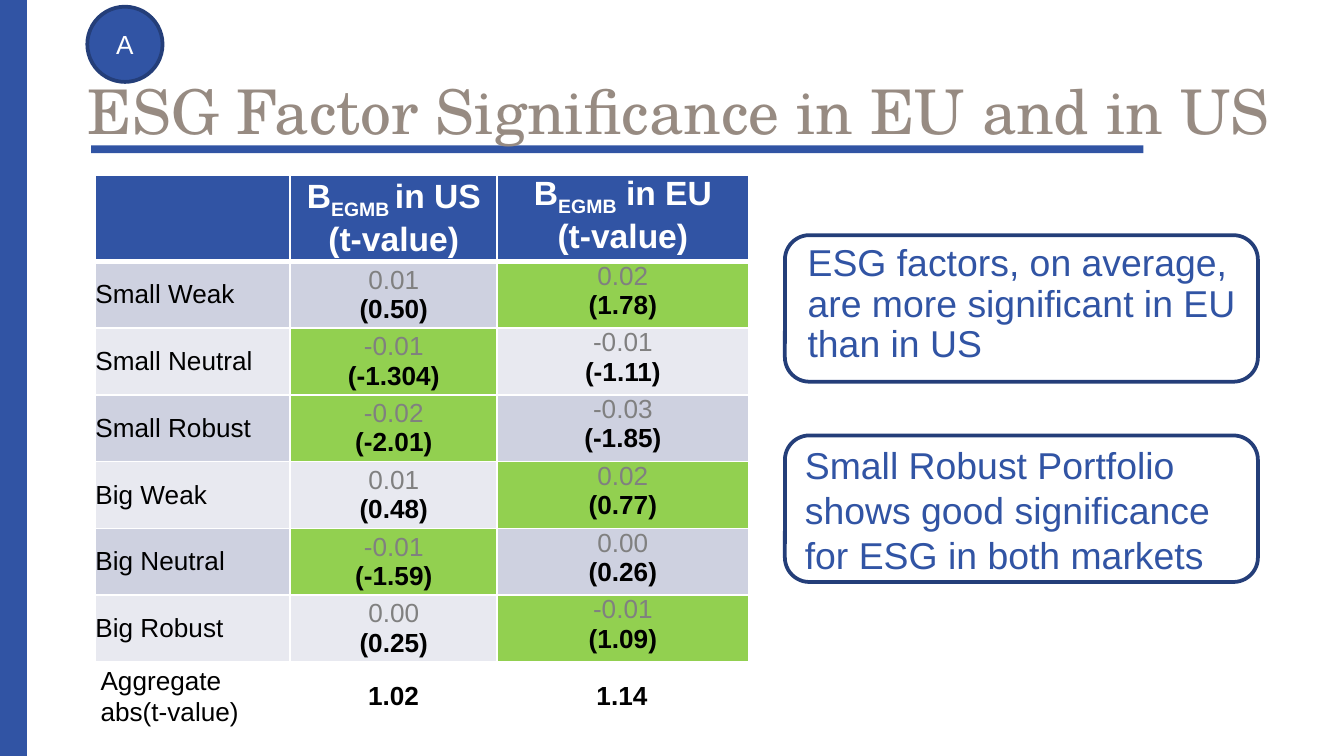
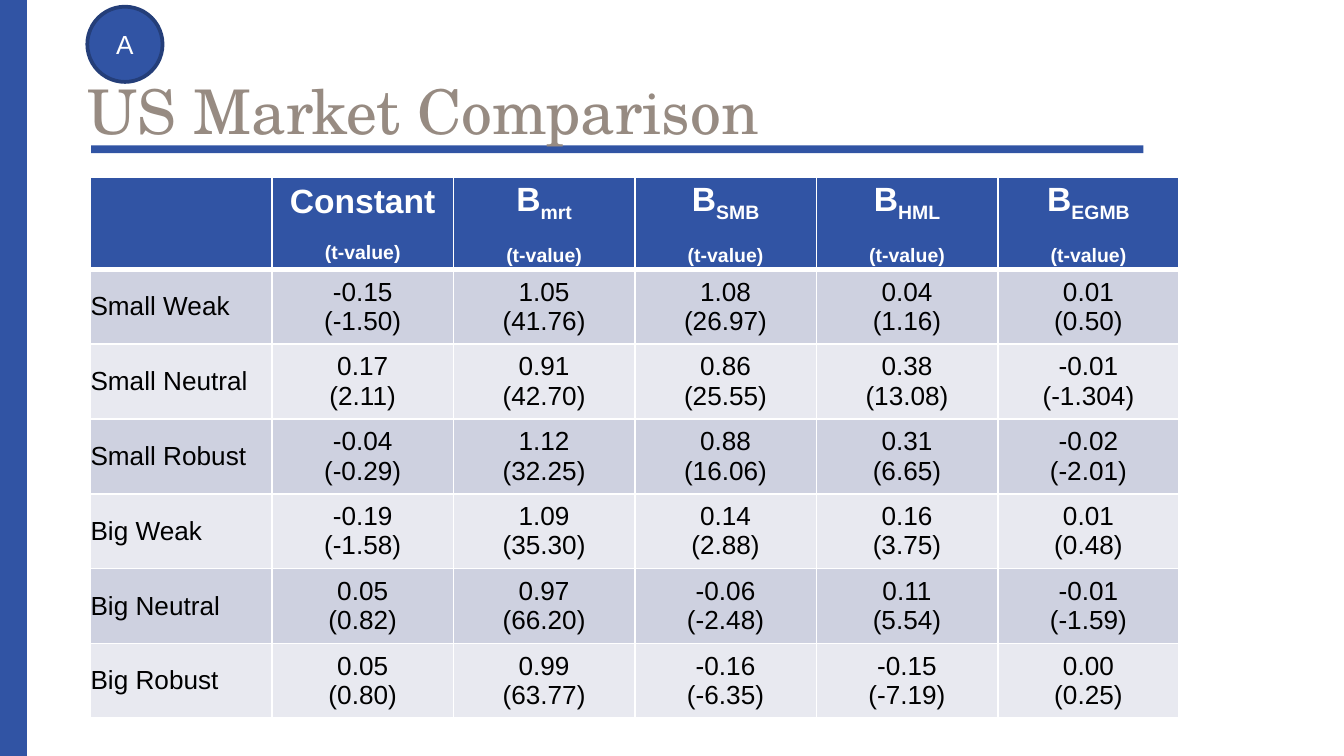
from lxml.etree import SubElement
from pptx import Presentation
from pptx.dml.color import RGBColor
from pptx.enum.shapes import MSO_SHAPE as SHAPE
from pptx.enum.text import MSO_ANCHOR as ANCHOR, PP_ALIGN as ALIGN
from pptx.oxml.ns import qn
from pptx.util import Pt

rgb = RGBColor.from_string
BLUE, NAVY, TAUPE = "3154A4", "243E79", "978B82"
WHITE, BLACK, GRAY, GREEN = "FFFFFF", "000000", "808080", "92D050"
BANDS = ["E8E9F0", "CED1E0"]
SUB = {"baseline": "-25000"}


def write(frame, lines, size, color, font="Arial", bold=False, align=ALIGN.LEFT,
          anchor=ANCHOR.TOP, spacing=None):
    """Each line is a list of (text, changes) runs."""
    frame.word_wrap = True
    frame.vertical_anchor = anchor
    for number, runs in enumerate(lines):
        paragraph = frame.add_paragraph() if number else frame.paragraphs[0]
        paragraph.alignment = align
        paragraph.line_spacing = spacing
        for text, changes in runs:
            run = paragraph.add_run()
            run.text = text
            look = {"name": font, "size": Pt(size), "bold": changes.get("bold", bold)}
            for attribute, value in look.items():
                setattr(run.font, attribute, value)
            run.font.color.rgb = rgb(changes.get("color", color))
            if "baseline" in changes:
                run._r.get_or_add_rPr().set("baseline", changes["baseline"])


def draw(slide, kind, box, fill, line=None):
    shape = slide.shapes.add_shape(kind, *map(Pt, box))
    shape.shadow.inherit = False
    shape.fill.solid()
    shape.fill.fore_color.rgb = rgb(fill)
    if line:
        shape.line.color.rgb = rgb(line)
        shape.line.width = Pt(2)
    else:
        shape.line.fill.background()
    return shape


deck = Presentation()
deck.slide_width, deck.slide_height = Pt(720), Pt(405)

# Content: each entry is "coefficient (t-value)"
portfolios = ["Small\u00a0Weak".replace("\u00a0", " "), "Small Neutral", "Small Robust",
              "Big Weak", "Big Neutral", "Big Robust"]
significance = {
    "title": "ESG Factor Significance in EU and in US", "title_width": 672,
    "at": (51.1, 93.8), "columns": [104.4, 110.9, 134.6], "rows": [43.9, 35.8],
    "heads": [[[("Β", {}), ("EGMB ", SUB), ("in US", {})], [("(t-value)", {})]],
              [[("Β", {}), ("EGMB", SUB), (" in EU", {})], [("(t-value)", {})]]],
    "entries": ["0.01 (0.50), 0.02 (1.78)", "-0.01 (-1.304), -0.01 (-1.11)",
                "-0.02 (-2.01), -0.03 (-1.85)", "0.01 (0.48), 0.02 (0.77)",
                "-0.01 (-1.59), 0.00 (0.26)", "0.00 (0.25), -0.01 (1.09)"],
    "value_look": {"color": GRAY}, "t_look": {"bold": True},
    "top_column": 2,
    "green": {(1, 2), (2, 1), (3, 1), (4, 2), (5, 1), (6, 2)},
}
us_market = {
    "title": "US Market Comparison", "title_width": 620,
    "at": (48.5, 95.2), "columns": [97.2] * 6, "rows": [48.6, 40.1],
    "heads": [[[("Constant", {})], [("(t-value)", SUB)]]]
    + [[[("Β", {}), (factor, SUB)], [("(t-value)", SUB)]]
       for factor in ("mrt", "SMB", "HML", "EGMB")],
    "entries": [
        "-0.15 (-1.50), 1.05 (41.76), 1.08 (26.97), 0.04 (1.16), 0.01 (0.50)",
        "0.17 (2.11), 0.91 (42.70), 0.86 (25.55), 0.38 (13.08), -0.01 (-1.304)",
        "-0.04 (-0.29), 1.12 (32.25), 0.88 (16.06), 0.31 (6.65), -0.02 (-2.01)",
        "-0.19 (-1.58), 1.09 (35.30), 0.14 (2.88), 0.16 (3.75), 0.01 (0.48)",
        "0.05 (0.82), 0.97 (66.20), -0.06 (-2.48), 0.11 (5.54), -0.01 (-1.59)",
        "0.05 (0.80), 0.99 (63.77), -0.16 (-6.35), -0.15 (-7.19), 0.00 (0.25)"],
    "value_look": {}, "t_look": {}, "top_column": None, "green": set(),
}

for topic in (significance, us_market):
    slide = deck.slides.add_slide(deck.slide_layouts[6])

    # Side band, title with rule, section badge
    draw(slide, SHAPE.RECTANGLE, (0, 0, 14.4, 405), BLUE)
    draw(slide, SHAPE.RECTANGLE, (48.8, 77.9, 563.8, 4.1), BLUE)
    title = slide.shapes.add_textbox(Pt(42), Pt(21.6), Pt(topic["title_width"]), Pt(79))
    title.text_frame.margin_left = title.text_frame.margin_right = Pt(5)
    write(title.text_frame, [[(topic["title"], {})]], 33, TAUPE, "TeX Gyre Schola",
          anchor=ANCHOR.MIDDLE, spacing=0.9)
    badge = draw(slide, SHAPE.OVAL, (46.8, 3.6, 40.3, 40.3), BLUE, NAVY)
    write(badge.text_frame, [[("A", {})]], 14, WHITE, align=ALIGN.CENTER,
          anchor=ANCHOR.MIDDLE)

    # Coefficient table
    head_height, row_height = topic["rows"]
    heights = [head_height] + [row_height] * len(portfolios)
    widths = topic["columns"]
    grid = slide.shapes.add_table(
        len(heights), len(widths), *map(Pt, topic["at"]),
        Pt(sum(widths)), Pt(sum(heights))).table
    grid.first_row = grid.horz_banding = False
    for column, width in zip(grid.columns, widths):
        column.width = Pt(width)
    for r, height in enumerate(heights):
        grid.rows[r].height = Pt(height)
        for c in range(len(widths)):
            cell = grid.cell(r, c)
            for side in ("left", "right", "top", "bottom"):
                setattr(cell, f"margin_{side}", 0)
            properties = cell._tc.get_or_add_tcPr()
            for edge in "LRTB":
                thick = (r, edge) in ((0, "B"), (1, "T"))
                border = SubElement(properties, qn(f"a:ln{edge}"),
                                    w=str(Pt(3 if thick else 1)))
                paint = SubElement(border, qn("a:solidFill"))
                SubElement(paint, qn("a:srgbClr"), val=WHITE)
            fill = GREEN if (r, c) in topic["green"] else BANDS[r % 2]
            cell.fill.solid()
            cell.fill.fore_color.rgb = rgb(fill if r else BLUE)
            anchor = ANCHOR.TOP if c == topic["top_column"] else ANCHOR.MIDDLE
            cell.vertical_anchor = anchor
            if r == 0 and c:
                write(cell.text_frame, topic["heads"][c - 1], 18, WHITE, bold=True,
                      align=ALIGN.CENTER)
            elif r and c == 0:
                write(cell.text_frame, [[(portfolios[r - 1], {})]], 14, BLACK)
            elif r:
                value, t_value = topic["entries"][r - 1].split(", ")[c - 1].split()
                write(cell.text_frame, [[(value, topic["value_look"])],
                                        [(t_value, topic["t_look"])]],
                      14, BLACK, align=ALIGN.CENTER)
            cell.vertical_anchor = anchor

# Findings beside the significance table
slide = deck.slides[0]
findings = [
    ("ESG factors, on average, are more significant in EU than in US",
     (420.5, 126, 259.2, 119.5), 126, 12.2, 5, 0.9),
    ("Small Robust Portfolio shows good significance for ESG in both markets",
     (424.1, 233.3, 246.2, 80), 233.3, 7.2, 3.6, None),
]
for finding, box, frame_top, indent, inset, spacing in findings:
    draw(slide, SHAPE.ROUNDED_RECTANGLE, (420.5, frame_top, 253.4, 78.5), WHITE, NAVY)
    text = slide.shapes.add_textbox(*map(Pt, box)).text_frame
    text.margin_left, text.margin_top = Pt(indent), Pt(inset)
    text.margin_right = Pt(5)
    write(text, [[(finding, {})]], 20, BLUE, spacing=spacing)

# Aggregate line under the table
aggregates = [
    (["Aggregate", "abs(t-value)"], (46.8, 352.1, 341.3, 41), False, ANCHOR.BOTTOM),
    (["1.02"], (190.1, 360.7, 216, 24.5), True, ANCHOR.TOP),
    (["1.14"], (312.5, 360.7, 216, 24.5), True, ANCHOR.TOP),
]
for lines, box, bold, anchor in aggregates:
    text = slide.shapes.add_textbox(*map(Pt, box)).text_frame
    write(text, [[(line, {})] for line in lines], 14, BLACK, bold=bold, anchor=anchor)

deck.save("out.pptx")
